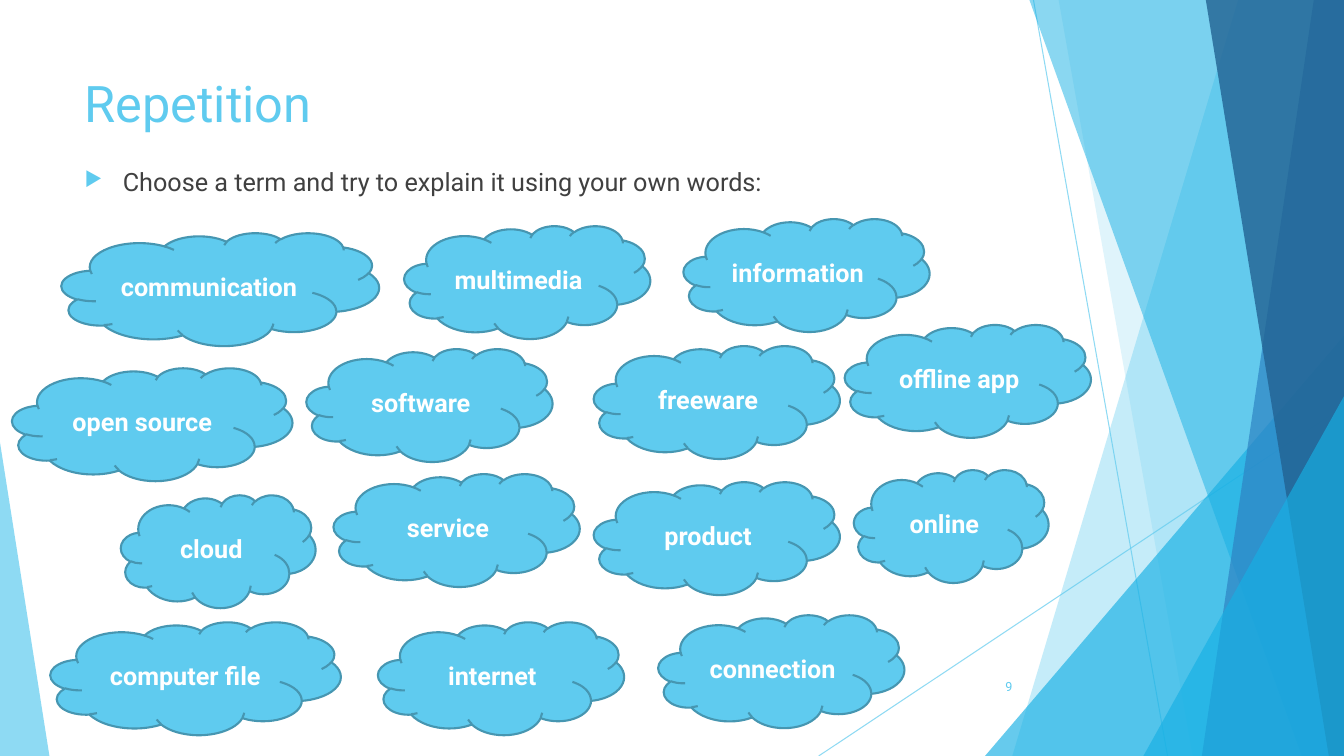
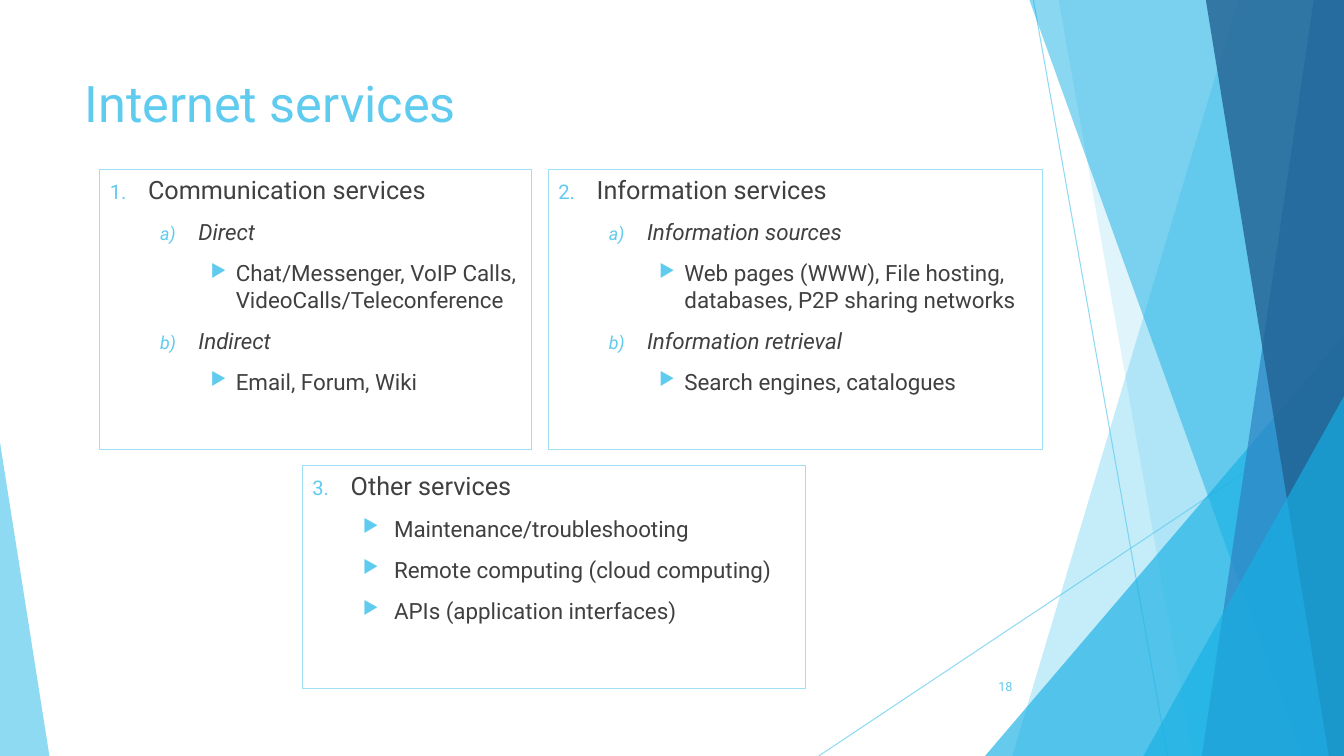
from lxml import etree
from pptx import Presentation
from pptx.dml.color import RGBColor
from pptx.enum.shapes import MSO_CONNECTOR, MSO_SHAPE
from pptx.enum.text import MSO_ANCHOR, PP_ALIGN
from pptx.oxml.ns import qn
from pptx.util import Inches, Pt

CLOUD, TRIANGLE = MSO_SHAPE.CLOUD, MSO_SHAPE.ISOSCELES_TRIANGLE
STRAIGHT = MSO_CONNECTOR.STRAIGHT
TOP, MIDDLE = MSO_ANCHOR.TOP, MSO_ANCHOR.MIDDLE
LEFT, CENTER, RIGHT = PP_ALIGN.LEFT, PP_ALIGN.CENTER, PP_ALIGN.RIGHT

FONT = "Roboto"
COLORS = {
    "sky": "5FCBEF", "cyan": "17B0E4", "blue": "2E83C3", "navy": "226292",
    "cloud_edge": "4696B1", "frame": "9FE0F5", "text": "404040", "white": "FFFFFF",
}
WIDTH, HEIGHT = 13.33, 7.5
CLOUD_HEIGHT = 1.12

RAYS = [(10.25, 0, 11.58, HEIGHT), (WIDTH, 4.03, 8.12, HEIGHT)]
BACK_WEDGES = [(12.28, 10.04, "sky", 36), (10.5, 11.83, "sky", 20)]
FRONT_WEDGES = [
    (10.21, 12.91, "cyan", 50), (13.03, 11.92, "blue", 70), (11.96, 13.18, "navy", 80),
]

TERMS = [
    ("communication", 0.61, 2.31, 3.15), ("multimedia", 4.01, 2.24, 2.44),
    ("information", 6.78, 2.17, 2.44), ("open source", 0.12, 3.65, 2.78),
    ("software", 3.04, 3.46, 2.44), ("freeware", 5.89, 3.43, 2.44),
    ("offline app", 8.38, 3.22, 2.44), ("cloud", 1.2, 4.91, 1.93),
    ("service", 3.31, 4.7, 2.44), ("product", 5.89, 4.78, 2.44),
    ("online", 8.47, 4.66, 1.93), ("computer file", 0.5, 6.17, 2.88),
    ("internet", 3.75, 6.17, 2.44), ("connection", 6.53, 6.1, 2.44),
]

STYLES = {
    "lead": dict(level=0, margin=0.38, hang=0.38, size=18, bullet="▶"),
    "heading": dict(level=0, margin=0.38, hang=0.38, size=18, bullet="arabicPeriod"),
    "group": dict(level=1, margin=0.88, hang=0.38, size=16, bullet="alphaLcParenR", italic=True),
    "detail": dict(level=2, margin=1.25, hang=0.25, size=16, bullet="▶"),
    "item": dict(level=1, margin=0.81, hang=0.31, size=16, bullet="▶"),
}

SERVICES = [
    ((0.99, 1.68, 4.28, 2.78), [
        ("heading", "Communication services"),
        ("group", "Direct"),
        ("detail", "Chat/Messenger, VoIP Calls, VideoCalls/Teleconference"),
        ("group", "Indirect"),
        ("detail", "Email, Forum, Wiki"),
    ]),
    ((5.44, 1.68, 4.9, 2.78), [
        ("heading", "Information services"),
        ("group", "Information sources"),
        ("detail", "Web pages (WWW), File hosting, databases, P2P sharing networks"),
        ("group", "Information retrieval"),
        ("detail", "Search engines, catalogues"),
    ]),
    ((3, 4.62, 4.99, 2.21), [
        ("heading", "Other services"),
        ("item", "Maintenance/troubleshooting"),
        ("item", "Remote computing (cloud computing)"),
        ("item", "APIs (application interfaces)"),
    ]),
]


def rgb(name):
    """Return the named palette colour."""
    return RGBColor.from_string(COLORS[name])


def inches(*lengths):
    """Convert several lengths to inches."""
    return [Inches(length) for length in lengths]


def set_opacity(shape, percent):
    """Make the coloured parts of a shape translucent."""
    for color in shape.element.spPr.iter(qn("a:srgbClr")):
        etree.SubElement(color, qn("a:alpha"), val=str(percent * 1000))


def fill_band(band, color, opacity):
    """Give a decorative band a translucent fill and no outline."""
    band.shadow.inherit = False
    band.fill.solid()
    band.fill.fore_color.rgb = rgb(color)
    band.line.fill.background()
    set_opacity(band, opacity)


def add_ray(slide, ends):
    """Draw a thin translucent line."""
    ray = slide.shapes.add_connector(STRAIGHT, *inches(*ends))
    ray.line.color.rgb = rgb("sky")
    ray.line.width = Pt(0.75)
    set_opacity(ray, 70)
    etree.SubElement(ray.element.spPr, qn("a:effectLst"))


def add_wedge(slide, top_x, bottom_x, color, opacity):
    """Draw a full-height band between a slanted edge and the right border."""
    corners = [(WIDTH, 0), (WIDTH, HEIGHT), (bottom_x, HEIGHT)]
    outline = slide.shapes.build_freeform(*inches(top_x, 0))
    outline.add_line_segments([inches(*corner) for corner in corners], close=True)
    fill_band(outline.convert_to_shape(), color, opacity)


def add_corner(slide, left, top, width, apex, color, opacity):
    """Draw a right triangle standing on the bottom border."""
    corner = slide.shapes.add_shape(TRIANGLE, *inches(left, top, width, HEIGHT - top))
    corner.adjustments[0] = apex
    fill_band(corner, color, opacity)


def add_backdrop(slide):
    """Draw the facets shared by all slides."""
    for ends in RAYS:
        add_ray(slide, ends)
    for wedge in BACK_WEDGES:
        add_wedge(slide, *wedge)
    add_corner(slide, 9.77, 3.33, 3.56, 1, "cyan", 66)
    for wedge in FRONT_WEDGES:
        add_wedge(slide, *wedge)
    add_corner(slide, 11.34, 3.93, 1.99, 1, "cyan", 66)
    add_corner(slide, 0, 4.39, 0.49, 0, "sky", 70)


def add_run(paragraph, text, size, color, bold=False, italic=False):
    """Append a formatted run."""
    run = paragraph.add_run()
    run.text = text
    run.font.name = FONT
    run.font.size = Pt(size)
    run.font.bold = bold
    run.font.italic = italic
    run.font.color.rgb = rgb(color)


def set_bullet(paragraph, bullet, margin, hang, start):
    """Set a hanging indent with a symbol or automatic number."""
    props = paragraph._p.get_or_add_pPr()
    props.set("marL", str(Inches(margin)))
    props.set("indent", str(-Inches(hang)))
    bullet_color = etree.SubElement(props, qn("a:buClr"))
    etree.SubElement(bullet_color, qn("a:srgbClr"), val=COLORS["sky"])
    etree.SubElement(props, qn("a:buSzPct"), val="80000")
    if bullet == "▶":
        etree.SubElement(props, qn("a:buChar"), char=bullet)
    else:
        etree.SubElement(props, qn("a:buAutoNum"), type=bullet, startAt=str(start))


def add_outline_text(slide, place, entries, number=1, framed=False):
    """Add a box of bulleted or numbered paragraphs."""
    box = slide.shapes.add_textbox(*inches(*place))
    frame = box.text_frame
    frame.word_wrap = True
    if framed:
        box.line.color.rgb = rgb("frame")
        box.line.width = Pt(0.75)
    for index, (style_name, text) in enumerate(entries):
        style = STYLES[style_name]
        paragraph = frame.add_paragraph() if index else frame.paragraphs[0]
        paragraph.level = style["level"]
        paragraph.space_before = Pt(10)
        start = number if style_name == "heading" else 1
        set_bullet(paragraph, style["bullet"], style["margin"], style["hang"], start)
        add_run(paragraph, text, style["size"], "text", italic=style.get("italic", False))


def add_term(slide, term, left, top, width):
    """Add a cloud holding one term."""
    cloud = slide.shapes.add_shape(CLOUD, *inches(left, top, width, CLOUD_HEIGHT))
    cloud.shadow.inherit = False
    cloud.fill.solid()
    cloud.fill.fore_color.rgb = rgb("sky")
    cloud.line.color.rgb = rgb("cloud_edge")
    cloud.line.width = Pt(1.5)
    cloud.text_frame.vertical_anchor = MIDDLE
    paragraph = cloud.text_frame.paragraphs[0]
    paragraph.alignment = CENTER
    add_run(paragraph, term, 18, "white", bold=True)


def add_page_number(slide, number):
    """Add the page number at the lower right."""
    box = slide.shapes.add_textbox(*inches(9.39, 6.61, 0.75, 0.4))
    box.text_frame.word_wrap = True
    box.text_frame.vertical_anchor = MIDDLE
    paragraph = box.text_frame.paragraphs[0]
    paragraph.alignment = RIGHT
    add_run(paragraph, str(number), 9, "sky")


def start_slide(deck, heading, number):
    """Create a slide with backdrop, title and page number."""
    slide = deck.slides.add_slide(deck.slide_layouts[5])
    add_backdrop(slide)
    title = slide.shapes.title
    title.left, title.top, title.width, title.height = inches(0.74, 0.67, 9.4, 1.44)
    title.text_frame.vertical_anchor = TOP
    paragraph = title.text_frame.paragraphs[0]
    paragraph.alignment = LEFT
    add_run(paragraph, heading, 36, "sky")
    add_page_number(slide, number)
    return slide


def main():
    """Build and save the deck."""
    deck = Presentation()
    deck.slide_width, deck.slide_height = inches(WIDTH, HEIGHT)

    repetition = start_slide(deck, "Repetition", 9)
    for term in TERMS:
        add_term(repetition, *term)
    task = "Choose a term and try to explain it using your own words:"
    add_outline_text(repetition, (0.74, 1.6, 9.4, 0.57), [("lead", task)])

    services = start_slide(deck, "Internet services", 18)
    for number, (place, entries) in enumerate(SERVICES, 1):
        add_outline_text(services, place, entries, number, framed=True)

    deck.save("out.pptx")


if __name__ == "__main__":
    main()
